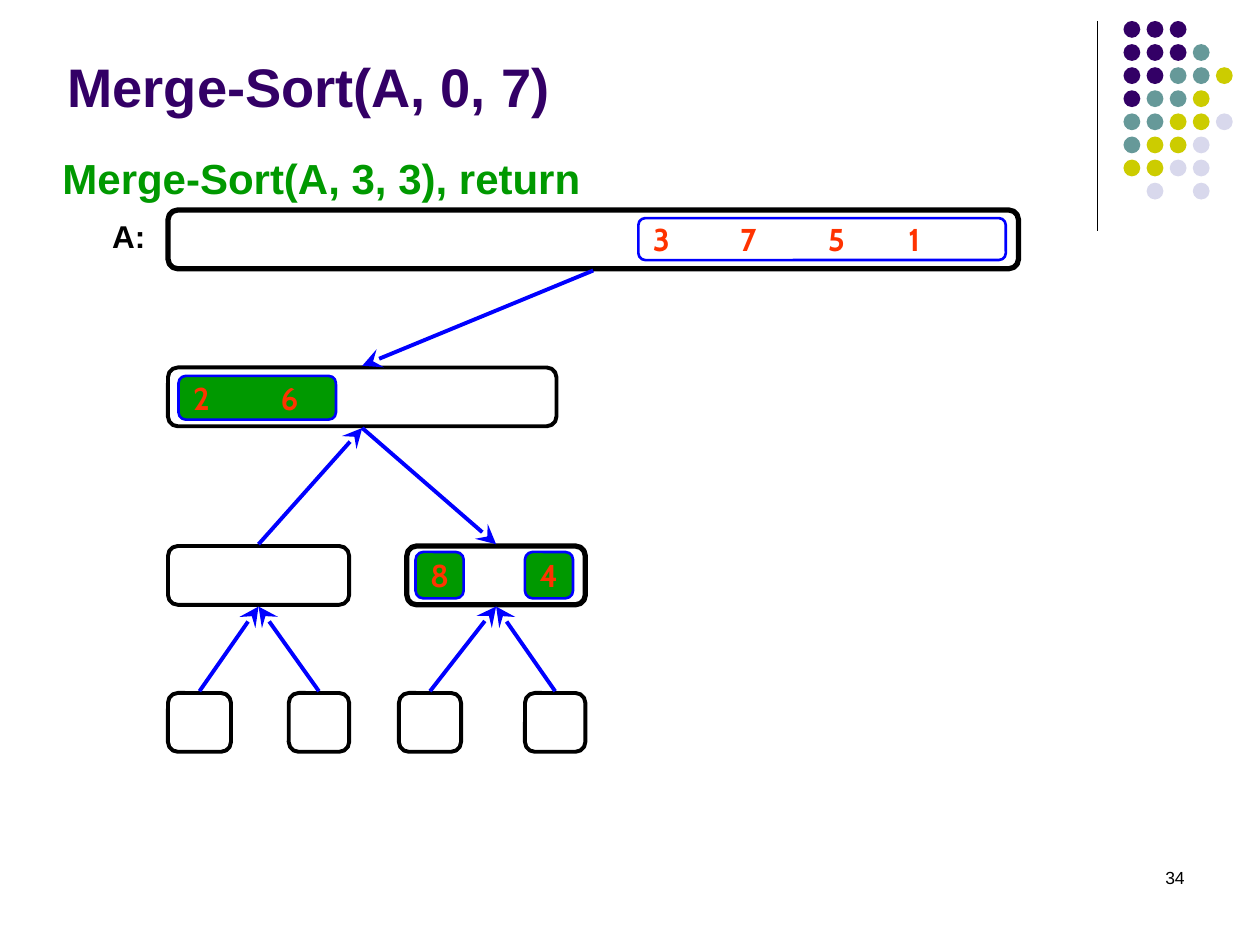
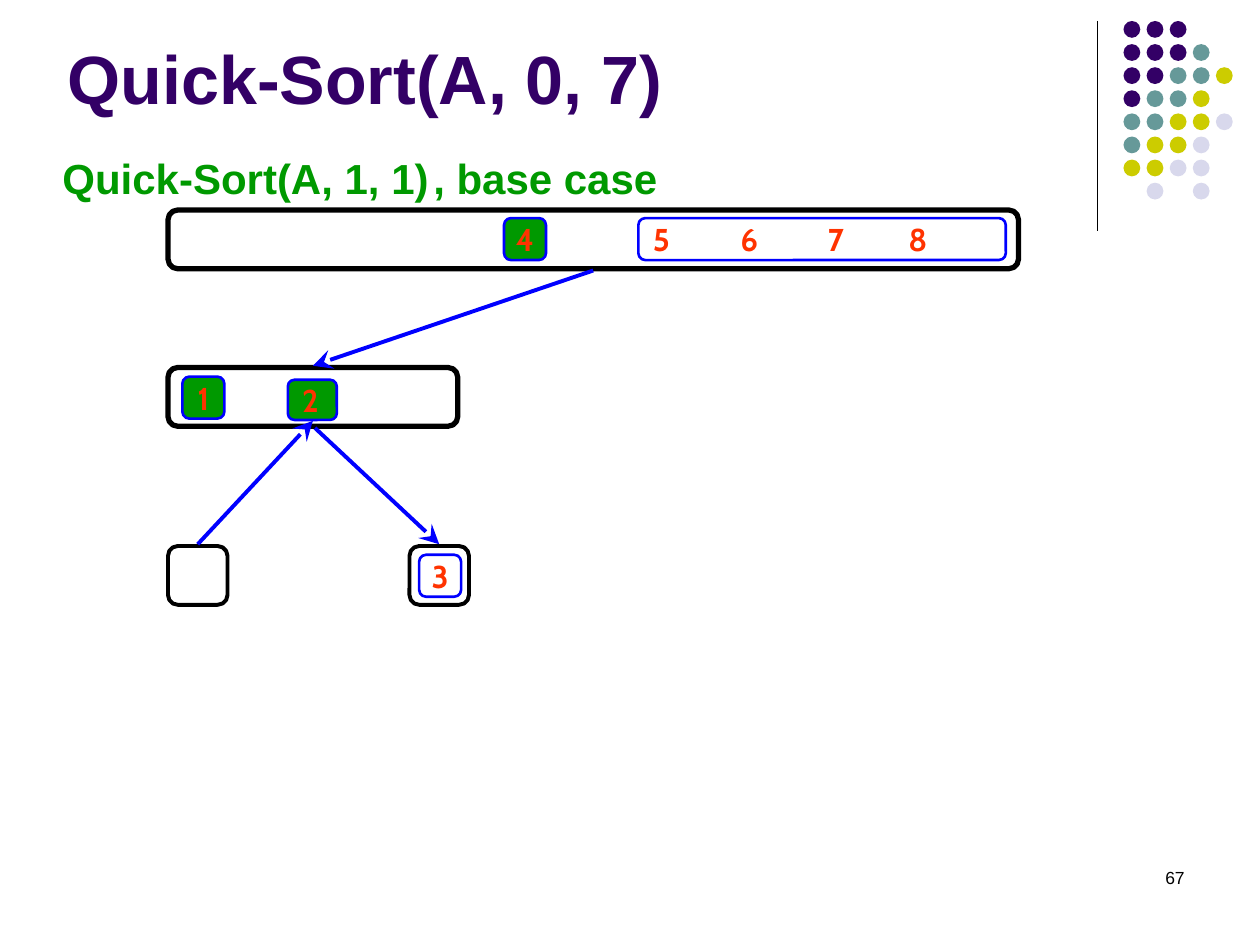
from collections import namedtuple

from lxml.etree import SubElement
from pptx import Presentation
from pptx.dml.color import RGBColor
from pptx.enum.shapes import MSO_CONNECTOR, MSO_SHAPE
from pptx.enum.text import MSO_ANCHOR, PP_ALIGN
from pptx.oxml.ns import qn
from pptx.util import Pt

BLACK = RGBColor(0x00, 0x00, 0x00)
WHITE = RGBColor(0xFF, 0xFF, 0xFF)
PURPLE = RGBColor(0x33, 0x00, 0x66)
TEAL = RGBColor(0x66, 0x99, 0x99)
OLIVE = RGBColor(0xCC, 0xCC, 0x00)
LAVENDER = RGBColor(0xD8, 0xD8, 0xEC)
GREEN = RGBColor(0x00, 0x99, 0x00)
BLUE = RGBColor(0x00, 0x00, 0xFF)
RED = RGBColor(0xFF, 0x33, 0x00)

DOT_COLORS = {"P": PURPLE, "T": TEAL, "O": OLIVE, "L": LAVENDER}
DOT_ROWS = ["PPP", "PPPT", "PPTTO", "PTTO", "TTOOL", "TOOL", "OOLL", " L L"]
DOT_SIZE, DOT_PITCH = 9.6, 13.2

LEVEL_TOPS = [120, 210, 312, 396]
NODE_HEIGHT = 33.6
FIRST_LEFT = 96
ARROW_GAP = 1
VALUE_TABS = [50, 100, 146]

Node = namedtuple("Node", "center top bottom")


def write(frame, text, size, color, font="Arial", bold=True, align=PP_ALIGN.LEFT):
    paragraph = frame.paragraphs[0]
    paragraph.alignment = align
    run = paragraph.add_run()
    run.text = text
    run.font.name = font
    run.font.size = Pt(size)
    run.font.bold = bold
    run.font.color.rgb = color
    return paragraph


def add_label(slide, left, top, width, height, text, size, color,
              anchor=MSO_ANCHOR.TOP, **style):
    label = slide.shapes.add_textbox(Pt(left), Pt(top), Pt(width), Pt(height))
    frame = label.text_frame
    frame.word_wrap = True
    frame.vertical_anchor = anchor
    write(frame, text, size, color, **style)


def add_line(slide, start, end, color, weight):
    line = slide.shapes.add_connector(
        MSO_CONNECTOR.STRAIGHT, *(Pt(value) for value in (*start, *end)))
    line.line.color.rgb = color
    line.line.width = Pt(weight)
    SubElement(line._element.spPr, qn("a:effectLst"))
    return line


def add_arrow(slide, start, end):
    arrow = add_line(slide, start, end, BLUE, 2.25)
    SubElement(arrow.line._get_or_add_ln(), qn("a:tailEnd"),
               type="stealth", w="lg", len="lg")


def add_outline(slide, left, top, width, height, color, weight, fill=None):
    outline = slide.shapes.add_shape(
        MSO_SHAPE.ROUNDED_RECTANGLE, Pt(left), Pt(top), Pt(width), Pt(height))
    outline.shadow.inherit = False
    outline.line.color.rgb = color
    outline.line.width = Pt(weight)
    if fill is None:
        outline.fill.background()
    else:
        outline.fill.solid()
        outline.fill.fore_color.rgb = fill
    return outline


def add_node(slide, level, left, width, weight=2.25):
    """Draw one subarray of the recursion tree and return its anchor points."""
    top = LEVEL_TOPS[level]
    add_outline(slide, left, top, width, NODE_HEIGHT, BLACK, weight)
    return Node(left + width / 2, top - ARROW_GAP, top + NODE_HEIGHT + ARROW_GAP)


def add_values(slide, left, top, width, height, values, fill=None,
               align=PP_ALIGN.LEFT):
    """Draw a blue-edged cell whose values are spread by tab stops."""
    cell = add_outline(slide, left, top, width, height, BLUE, 1.5, fill)
    frame = cell.text_frame
    frame.word_wrap = len(values) > 1
    frame.vertical_anchor = MSO_ANCHOR.MIDDLE
    paragraph = write(frame, "\t".join(values), 18, RED, font="Cabin", align=align)
    if len(values) > 1:
        tabs = SubElement(paragraph._p.get_or_add_pPr(), qn("a:tabLst"))
        for position in VALUE_TABS[:len(values) - 1]:
            SubElement(tabs, qn("a:tab"), pos=str(Pt(position)), algn="l")


def descend(slide, parent, child):
    add_arrow(slide, (parent.center, parent.bottom), (child.center, child.top))


def come_back(slide, child, parent):
    add_arrow(slide, (child.center, child.top), (parent.center, parent.bottom))


def add_dots(slide):
    for row, colors in enumerate(DOT_ROWS):
        for column, key in enumerate(colors):
            if key == " ":
                continue
            dot = slide.shapes.add_shape(
                MSO_SHAPE.OVAL, Pt(642 + column * DOT_PITCH),
                Pt(12 + row * DOT_PITCH), Pt(DOT_SIZE), Pt(DOT_SIZE))
            dot.shadow.inherit = False
            dot.fill.solid()
            dot.fill.fore_color.rgb = DOT_COLORS[key]
            dot.line.fill.background()


def add_call(slide, left, width, text):
    add_label(slide, left, 83.5, width, 36, text, 24, GREEN)


def start_slide(deck, title, title_size, number):
    slide = deck.slides.add_slide(deck.slide_layouts[6])
    add_line(slide, (627, 12), (627, 132), BLACK, 0.75)
    add_dots(slide)
    add_label(slide, 516, 492, 168, 36, number, 10, BLACK,
              bold=False, align=PP_ALIGN.RIGHT)
    add_label(slide, 31.5, 25, 594, 46, title, title_size, PURPLE,
              anchor=MSO_ANCHOR.BOTTOM)
    return slide


def add_merge_sort(deck):
    slide = start_slide(deck, "Merge-Sort(A, 0, 7)", 31, "34")
    add_call(slide, 28.6, 329, "Merge-Sort(A, 3, 3), return")
    add_label(slide, 57, 120.4, 38, 29, "A:", 18, BLACK)

    whole = add_node(slide, 0, FIRST_LEFT, 486, 3)
    half = add_node(slide, 1, FIRST_LEFT, 222)
    left_pair = add_node(slide, 2, FIRST_LEFT, 103.5)
    right_pair = add_node(slide, 2, 232.5, 102, 3)
    descend(slide, whole, half)
    come_back(slide, left_pair, half)
    descend(slide, half, right_pair)
    leaves = [(FIRST_LEFT, 36, left_pair), (165, 34.5, left_pair),
              (228, 35.5, right_pair), (300, 34.5, right_pair)]
    for left, width, pair in leaves:
        come_back(slide, add_node(slide, 3, left, width), pair)

    add_values(slide, 364.8, 124.6, 210, 24, "3751")
    add_values(slide, 102, 214.8, 90, 25, "26", GREEN)
    add_values(slide, 237.5, 315.4, 27.5, 26.5, "8", GREEN)
    add_values(slide, 300, 315.4, 27.5, 26.5, "4", GREEN)


def add_quick_sort(deck):
    slide = start_slide(deck, "Quick-Sort(A, 0, 7)", 39, "67")
    add_call(slide, 28.6, 228, "Quick-Sort(A, 1, 1)")
    add_call(slide, 240.5, 176, ", base case")

    whole = add_node(slide, 0, FIRST_LEFT, 486, 3)
    lower = add_node(slide, 1, FIRST_LEFT, 165.6, 3)
    before_pivot = add_node(slide, 2, FIRST_LEFT, 34)
    after_pivot = add_node(slide, 2, 234, 34)

    add_values(slide, 364.8, 124.6, 210, 24, "5678")
    add_values(slide, 164.5, 217, 28, 23, "2", GREEN)
    for left, top, value, fill in [(288, 124.6, "4", GREEN),
                                   (104.2, 215.2, "1", GREEN),
                                   (239.5, 317, "3", WHITE)]:
        add_values(slide, left, top, 24, 24, value, fill, PP_ALIGN.CENTER)

    descend(slide, whole, lower)
    come_back(slide, before_pivot, lower._replace(bottom=240.5))
    descend(slide, lower._replace(center=180), after_pivot)


def main():
    deck = Presentation()
    deck.slide_width, deck.slide_height = Pt(720), Pt(540)
    add_merge_sort(deck)
    add_quick_sort(deck)
    deck.save("out.pptx")


if __name__ == "__main__":
    main()
